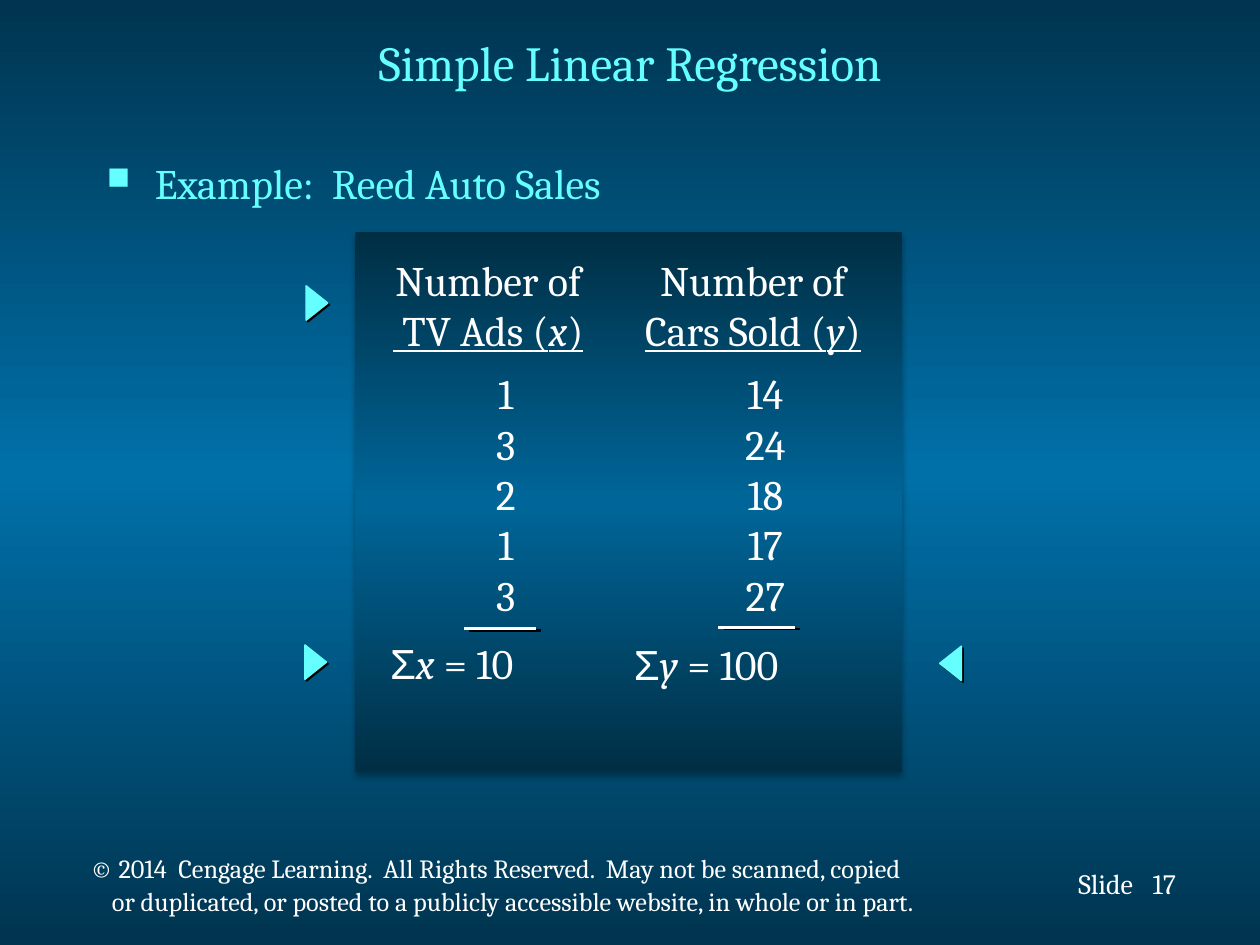
from lxml import etree
from pptx import Presentation
from pptx.dml.color import RGBColor
from pptx.enum.shapes import MSO_CONNECTOR, MSO_SHAPE
from pptx.enum.text import MSO_ANCHOR, PP_ALIGN
from pptx.oxml.ns import qn
from pptx.util import Inches, Pt

LEFT, CENTER = PP_ALIGN.LEFT, PP_ALIGN.CENTER
MIDDLE, TOP = MSO_ANCHOR.MIDDLE, MSO_ANCHOR.TOP
RECTANGLE, TRIANGLE = MSO_SHAPE.RECTANGLE, MSO_SHAPE.ISOSCELES_TRIANGLE
STRAIGHT = MSO_CONNECTOR.STRAIGHT

# Content: a line of text is a list of (text, format) runs
TITLE = "Simple Linear Regression"
EXAMPLE = "Example:  Reed Auto Sales"
COPYRIGHT = [
    "© 2014  Cengage Learning.  All Rights Reserved.  May not be scanned, copied",
    "or duplicated, or posted to a publicly accessible website, in whole or in part.",
]
PAGE_LABELS = [("Slide", 8.46, 0.7), ("17", 9.05, 0.45)]
COLUMNS = [
    {"heading": " TV Ads (", "symbol": "x", "values": [1, 3, 2, 1, 3],
     "heading_at": (2.93, 1.89), "values_at": (3.83, 0.37),
     "sum_at": (2.95, 5.01, 1.27), "rule": (3.68, 4.25, 4.99)},
    {"heading": "Cars Sold (", "symbol": "y", "values": [14, 24, 18, 17, 27],
     "heading_at": (4.93, 2.09), "values_at": (5.81, 0.53),
     "sum_at": (4.89, 5.02, 1.43), "rule": (5.7, 6.31, 4.98)},
]
MARKERS = [(2.38, 2.32, 90), (2.37, 5.17, 90), (7.41, 5.18, 270)]

WHITE, AQUA = "FFFFFF", "66FFFF"
BACKDROP = ("00344F", "0070A8", "00344F")
PANEL = ("002E44", "006699", "002E44")


def rgb(value):
    return RGBColor.from_string(value)


def add_xml(parent, tag, **attributes):
    return etree.SubElement(parent, qn(tag), attributes)


def fill_gradient(fill, owner, colors):
    """Vertical gradient with evenly spaced stops."""
    fill.gradient()
    fill.gradient_angle = 270
    stops = owner.find(".//" + qn("a:gsLst"))
    for stop in list(stops):
        stops.remove(stop)
    for i, color in enumerate(colors):
        stop = add_xml(stops, "a:gs", pos=str(i * 100000 // (len(colors) - 1)))
        add_xml(stop, "a:srgbClr", val=color)


def add_shadow(shape, opacity, blur, distance, angle):
    properties = shape._element.spPr
    effects = properties.find(qn("a:effectLst"))
    if effects is None:
        effects = add_xml(properties, "a:effectLst")
    shadow = add_xml(effects, "a:outerShdw", blurRad=str(Pt(blur)), dist=str(Pt(distance)),
                     dir=str(angle * 60000), algn="ctr", rotWithShape="0")
    color = add_xml(shadow, "a:srgbClr", val="000000")
    add_xml(color, "a:alpha", val=str(opacity * 1000))


def write(frame, lines, size=24, color=WHITE, align=CENTER, wrap=False, anchor=TOP):
    frame.word_wrap = wrap
    frame.vertical_anchor = anchor
    for i, runs in enumerate(lines):
        paragraph = frame.paragraphs[0] if i == 0 else frame.add_paragraph()
        paragraph.alignment = align
        for text, changes in runs:
            run = paragraph.add_run()
            run.text = text
            run.font.color.rgb = rgb(color)
            for name, value in {"name": "Cambria", "size": Pt(size), **changes}.items():
                setattr(run.font, name, value)


def add_text(slide, box, lines, **options):
    frame = slide.shapes.add_textbox(*map(Inches, box)).text_frame
    write(frame, lines, **options)
    return frame


def add_column(slide, column):
    symbol = column["symbol"]
    underline = {"underline": True}
    heading = [
        [("Number of", {})],
        [(column["heading"], underline), (symbol, {**underline, "italic": True}),
         (")", underline)],
    ]
    left, width = column["heading_at"]
    add_text(slide, (left, 1.97, width, 0.9), heading)

    left, width = column["values_at"]
    add_text(slide, (left, 2.87, width, 2.1), [[(str(v), {})] for v in column["values"]])

    total = [("Σ", {"name": "Arial"}), (symbol, {"italic": True}),
             (f" = {sum(column['values'])}", {})]
    add_text(slide, (*column["sum_at"], 0.5), [total])

    start, end, y = column["rule"]
    rule = slide.shapes.add_connector(STRAIGHT, *map(Inches, (start, y, end, y)))
    rule.line.color.rgb = rgb(WHITE)
    rule.line.width = Pt(1.5)
    add_shadow(rule, 100, 0, 3.2, 18)


def main():
    deck = Presentation()
    deck.slide_width, deck.slide_height = Inches(10), Inches(7.5)
    slide = deck.slides.add_slide(deck.slide_layouts[5])
    fill_gradient(slide.background.fill, slide.element, BACKDROP)

    # Title
    title = slide.shapes.title
    title.left, title.top, title.width, title.height = map(Inches, (0.75, 0.14, 8.5, 0.7))
    write(title.text_frame, [[(TITLE, {})]], size=28, color=AQUA, wrap=True, anchor=MIDDLE)

    # Footer
    for label, left, width in PAGE_LABELS:
        add_text(slide, (left, 6.83, width, 0.37), [[(label, {})]], size=16, align=LEFT)
    footer = add_text(slide, (0.62, 6.74, 7.47, 0.6), [[(line, {})] for line in COPYRIGHT],
                      size=15, align=LEFT)
    for paragraph in footer.paragraphs:
        paragraph.line_spacing = Pt(16)
    second_line = footer.paragraphs[1]
    second_line.space_before = Pt(3)
    second_line._p.get_or_add_pPr().set("marL", str(Inches(0.17)))

    # Example heading with a square bullet
    example = add_text(slide, (0.75, 1.2, 6.31, 0.64), [[(EXAMPLE, {})]],
                       color=AQUA, align=LEFT, wrap=True)
    bullet = example.paragraphs[0]._p.get_or_add_pPr()
    bullet.set("marL", str(Inches(0.38)))
    bullet.set("indent", str(Inches(-0.38)))
    add_xml(add_xml(bullet, "a:buClr"), "a:srgbClr", val=AQUA)
    add_xml(bullet, "a:buSzPct", val="75000")
    add_xml(bullet, "a:buChar", char="■")

    # Data panel
    panel = slide.shapes.add_shape(RECTANGLE, *map(Inches, (2.82, 1.84, 4.34, 4.29)))
    panel.shadow.inherit = False
    fill_gradient(panel.fill, panel._element, PANEL)
    panel.line.fill.background()
    add_shadow(panel, 32, 3.5, 2.2, 90)
    for column in COLUMNS:
        add_column(slide, column)

    # Markers pointing at the panel
    for left, top, rotation in MARKERS:
        marker = slide.shapes.add_shape(TRIANGLE, *map(Inches, (left, top, 0.27, 0.17)))
        marker.rotation = rotation
        marker.shadow.inherit = False
        marker.fill.solid()
        marker.fill.fore_color.rgb = rgb(AQUA)
        marker.line.color.rgb = rgb(AQUA)
        marker.line.width = Pt(1)
        add_shadow(marker, 100, 0, 1.4, 45)

    deck.save("out.pptx")


if __name__ == "__main__":
    main()
